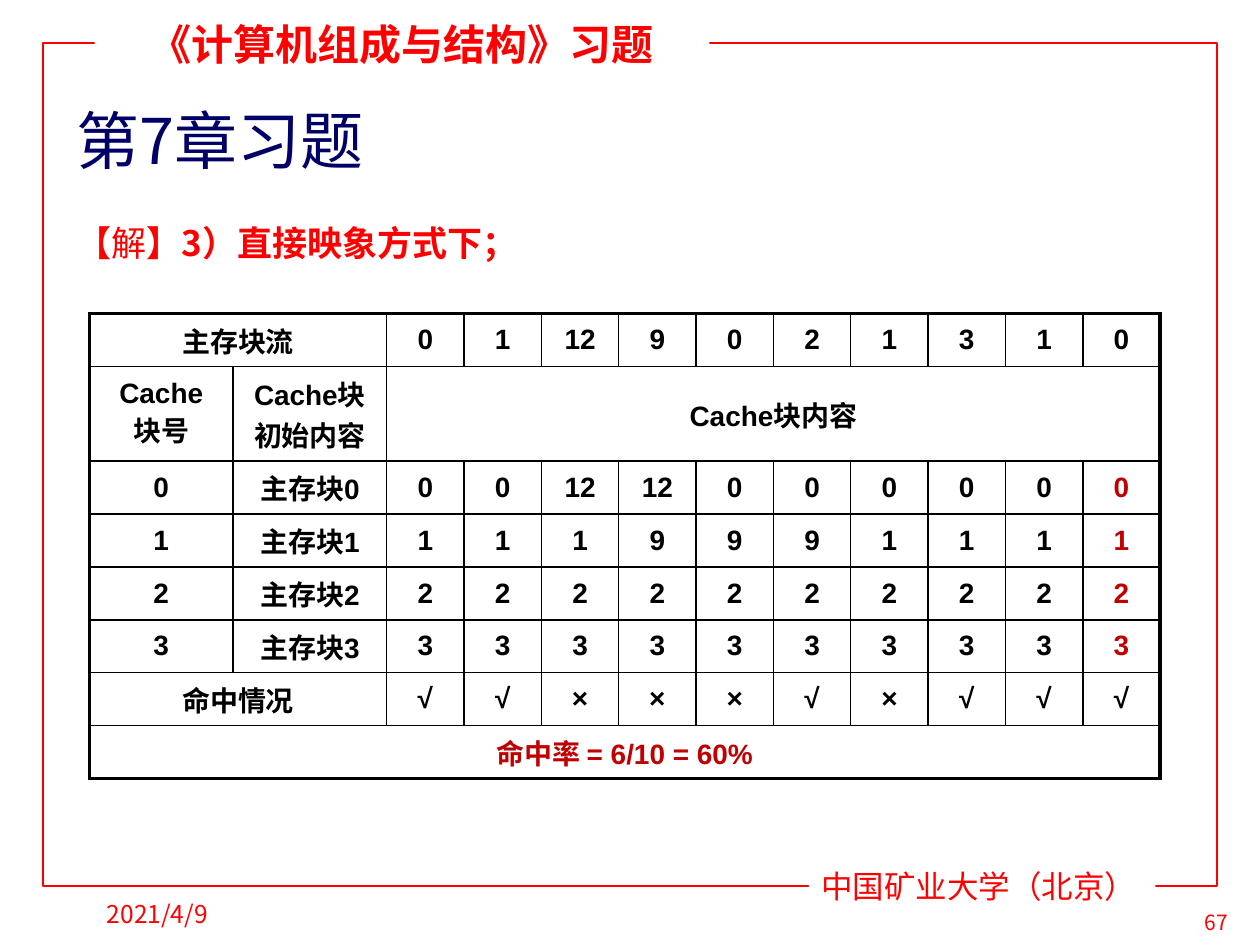
"""Build the chapter 7 exercise slide with its direct-mapped cache table."""
from dataclasses import dataclass

from lxml import etree
from pptx import Presentation
from pptx.dml import color
from pptx.enum import shapes, text
from pptx.oxml import ns
from pptx.util import Inches, Pt


@dataclass(frozen=True)
class Theme:
    red: str = "FF0000"
    navy: str = "000066"
    black: str = "000000"
    answer: str = "C00000"
    white: str = "FFFFFF"
    cjk: str = "Noto Sans CJK SC"
    serif: str = "Times New Roman"
    sans: str = "Arial"
    title: int = 36
    header: int = 24
    body: int = 20
    footer: int = 18
    table: int = 16
    date: int = 14
    number: int = 12
    thin: float = 1
    thick: float = 2.25


theme = Theme()


def write(para, words, *, size, font=theme.cjk, ink=theme.red, bold=False,
          align=text.PP_ALIGN.LEFT):
    para.alignment = align
    for index, line in enumerate(words.split("\n")):
        if index:
            para.add_line_break()
        span = para.add_run()
        span.text = line
        span.font.size = Pt(size)
        span.font.bold = bold
        span.font.name = font
        span.font.color.rgb = color.RGBColor.from_string(ink)
        etree.SubElement(span.font._element, ns.qn("a:ea"), typeface=theme.cjk)


def draw_border(cell, side, width):
    line = etree.SubElement(cell._tc.get_or_add_tcPr(), ns.qn(f"a:ln{side}"), w=str(Pt(width)))
    fill = etree.SubElement(line, ns.qn("a:solidFill"))
    etree.SubElement(fill, ns.qn("a:srgbClr"), val=theme.black)


deck = Presentation()
deck.slide_width, deck.slide_height = Inches(10), Inches(7.5)
page = deck.slides.add_slide(deck.slide_layouts[5])
CENTER = text.PP_ALIGN.CENTER

frame = page.shapes.add_shape(shapes.MSO_SHAPE.RECTANGLE, Inches(0.34), Inches(0.34),
                              Inches(9.32), Inches(6.69))
frame.shadow.inherit = False
frame.fill.background()
frame.line.color.rgb = color.RGBColor.from_string(theme.red)
frame.line.width = Pt(theme.thin)

labels = [
    ("《计算机组成与结构》习题", (0.75, 0.1, 4.88, 0.5),
     dict(size=theme.header, font=theme.serif, bold=True, align=CENTER)),
    ("中国矿业大学（北京）", (6.42, 6.83, 2.75, 0.4), dict(size=theme.footer, font=theme.serif)),
]
for words, place, style in labels:
    box = page.shapes.add_shape(shapes.MSO_SHAPE.RECTANGLE, *map(Inches, place))
    box.shadow.inherit = False
    box.fill.solid()
    box.fill.fore_color.rgb = color.RGBColor.from_string(theme.white)
    box.line.fill.background()
    write(box.text_frame.paragraphs[0], words, **style)

title = page.shapes.title
title.left, title.top = Inches(0.51), Inches(0.75)
title.width, title.height = Inches(9.06), Inches(0.71)
title.text_frame.vertical_anchor = text.MSO_ANCHOR.MIDDLE
write(title.text_frame.paragraphs[0], "第7章习题", size=theme.title, ink=theme.navy)

notes = [
    ([("67", False)], (9.33, 7.17, 0.65, 0.3), text.MSO_ANCHOR.TOP, 1,
     dict(size=theme.number, align=CENTER)),
    ([("2021/4/9", False)], (0.75, 7, 2.08, 0.5), text.MSO_ANCHOR.MIDDLE, 1,
     dict(size=theme.date)),
    ([("【", True), ("解", False), ("】3）直接映象方式下；", True)], (0.51, 1.54, 9.06, 5.16),
     text.MSO_ANCHOR.TOP, 1.5, dict(size=theme.body)),
]
for spans, place, anchor, spacing, style in notes:
    box = page.shapes.add_textbox(*map(Inches, place))
    box.text_frame.word_wrap = True
    box.text_frame.vertical_anchor = anchor
    para = box.text_frame.paragraphs[0]
    para.line_spacing = spacing
    for words, bold in spans:
        write(para, words, bold=bold, **style)

rows = [
    ["主存块流", "", *"0 1 12 9 0 2 1 3 1 0".split()],
    ["Cache\n块号", "Cache块\n初始内容", "Cache块内容", *[""] * 9],
    ["0", "主存块0", *"0 0 12 12 0 0 0 0 0 0".split()],
    ["1", "主存块1", *"1 1 1 9 9 9 1 1 1 1".split()],
    ["2", "主存块2", *["2"] * 10],
    ["3", "主存块3", *["3"] * 10],
    ["命中情况", "", *"√√×××√×√√√"],
    ["命中率 = 6/10 = 60%", *[""] * 11],
]
last_row, last_column = len(rows) - 1, len(rows[0]) - 1
table = page.shapes.add_table(len(rows), len(rows[0]), Inches(0.71), Inches(2.49),
                              Inches(8.5), Inches(3.69)).table
table.first_row = table.horz_banding = False
for column, width in zip(table.columns, [1.14, 1.22] + [0.614] * 10):
    column.width = Inches(width)
for row, height in zip(table.rows, [0.42, 0.75] + [0.42] * 6):
    row.height = Inches(height)
for row, first, last in [(0, 0, 1), (1, 2, last_column), (6, 0, 1), (last_row, 0, last_column)]:
    table.cell(row, first).merge(table.cell(row, last))

for row, values in enumerate(rows):
    for column, words in enumerate(values):
        cell = table.cell(row, column)
        end = column + cell.span_width - 1 if cell.is_merge_origin else column
        outer = {"L": column == 0, "R": end == last_column, "T": row == 0, "B": row == last_row}
        for side, is_outer in outer.items():
            draw_border(cell, side, theme.thick if is_outer else theme.thin)
        cell.fill.background()
        cell.vertical_anchor = text.MSO_ANCHOR.MIDDLE
        if words:
            is_answer = row == last_row or (2 <= row <= 5 and column == last_column)
            write(cell.text_frame.paragraphs[0], words, size=theme.table, font=theme.sans,
                  ink=theme.answer if is_answer else theme.black, bold=True, align=CENTER)

deck.save("out.pptx")
